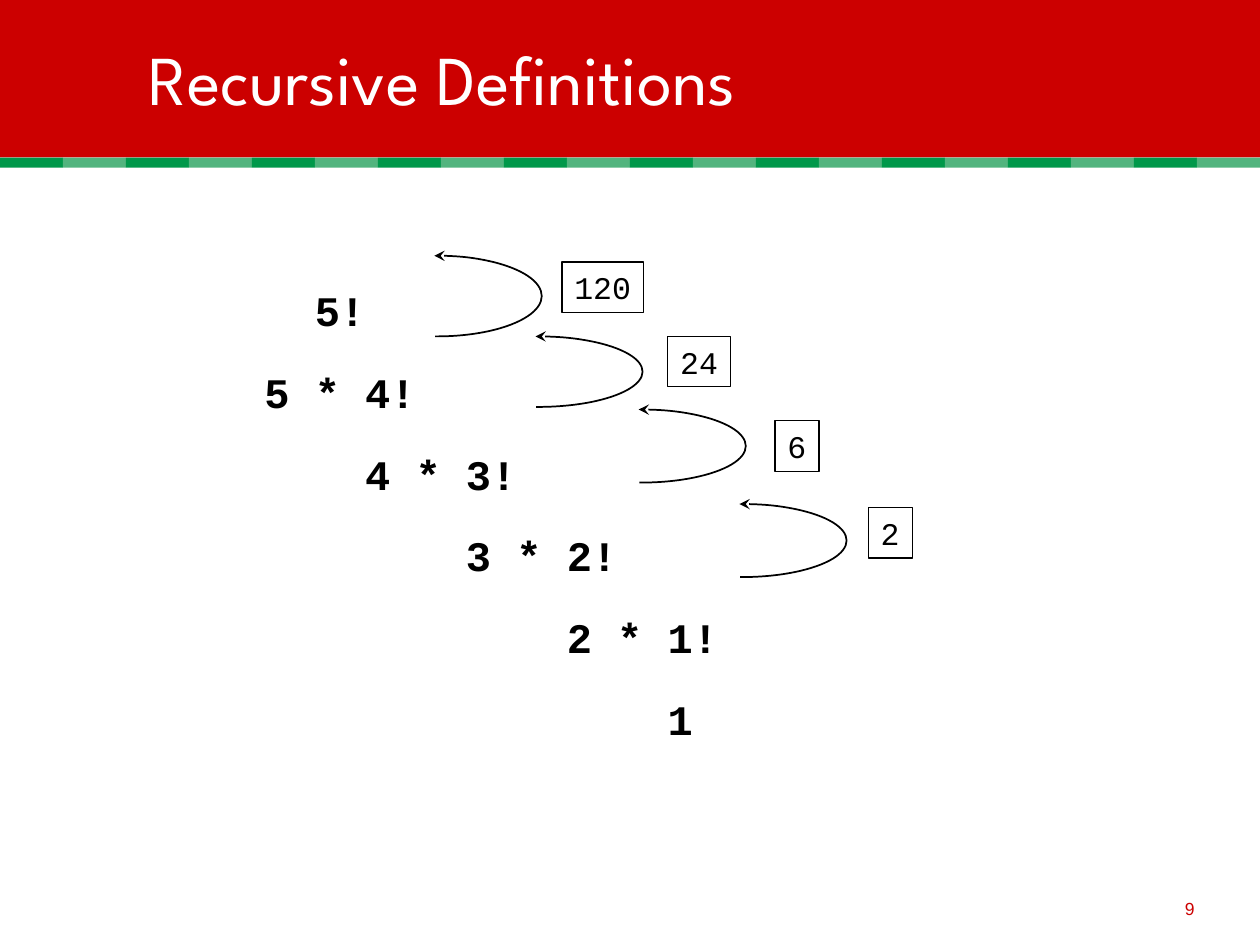
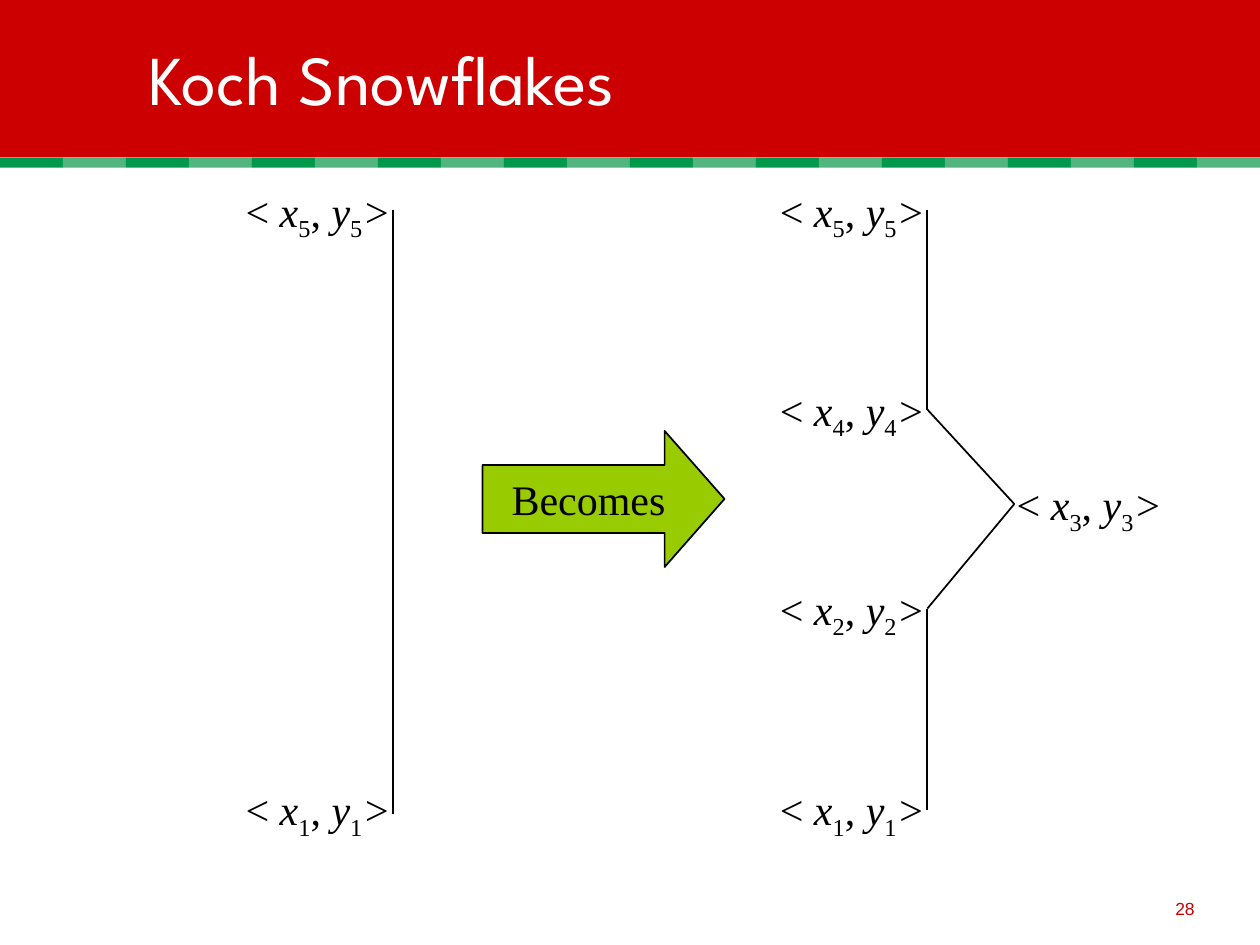
from dataclasses import dataclass

from lxml.etree import SubElement
from pptx import Presentation
from pptx.dml.color import RGBColor
from pptx.enum.shapes import MSO_CONNECTOR, MSO_SHAPE
from pptx.enum.text import MSO_ANCHOR, MSO_AUTO_SIZE, PP_ALIGN
from pptx.oxml.ns import qn
from pptx.util import Inches, Pt


@dataclass(frozen=True)
class Theme:
    """Colours, fonts and type sizes of the deck."""
    banner: str = "CC0000"
    stripes: tuple = ("00984A", "52B47E")
    arrow: str = "99CC00"
    ink: str = "000000"
    paper: str = "FFFFFF"
    title_font: str = "League Spartan"
    code_font: str = "Courier New"
    math_font: str = "Times New Roman"
    number_font: str = "Arial"
    title_size: int = 40
    body_size: int = 24
    value_size: int = 18
    number_size: int = 10


class Deck:
    """Holds the theme and the current slide and draws each kind of element."""

    def __init__(self, theme):
        self.theme = theme
        self.presentation = Presentation()
        self.presentation.slide_width = Inches(10)
        self.presentation.slide_height = Inches(7.5)
        self.slide = None

    def start_slide(self, heading, number):
        """Open a slide with its banner, title and page number."""
        theme = self.theme
        self.slide = self.presentation.slides.add_slide(self.presentation.slide_layouts[5])
        self.banner()
        title = self.slide.shapes.title
        self.slide.shapes._spTree.append(title._element)
        title.left, title.top, title.width, title.height = map(Inches, (1.08, 0.24, 8.67, 0.75))
        frame = self.frame(title, MSO_ANCHOR.MIDDLE, wrap=True)
        paragraph = self.paragraph(frame, PP_ALIGN.LEFT)
        self.run(paragraph, heading, theme.title_font, theme.title_size, theme.paper)
        page = self.slide.shapes.add_textbox(*map(Inches, (7.5, 6.92, 2.08, 0.42)))
        paragraph = self.paragraph(self.frame(page, MSO_ANCHOR.BOTTOM, wrap=True), PP_ALIGN.RIGHT)
        self.run(paragraph, str(number), theme.number_font, theme.number_size, theme.banner)

    def banner(self):
        """Draw the title band and the row of alternating stripes under it."""
        self.shape(MSO_SHAPE.RECTANGLE, (0, 0, 10, 1.25), fill=self.theme.banner)
        for column in range(20):
            stripe = self.theme.stripes[column % 2]
            self.shape(MSO_SHAPE.RECTANGLE, (column * 0.5, 1.25, 0.5, 0.08), fill=stripe)

    def shape(self, preset, box, fill=None, line_width=None):
        """Add a preset shape with an optional fill and outline."""
        shape = self.slide.shapes.add_shape(preset, *map(Inches, box))
        shape.shadow.inherit = False
        if fill:
            shape.fill.solid()
            shape.fill.fore_color.rgb = RGBColor.from_string(fill)
        else:
            shape.fill.background()
        if line_width:
            self.stroke(shape.line, line_width)
        else:
            shape.line.fill.background()
        return shape

    def stroke(self, line, width):
        """Colour a line with ink at a width in points."""
        line.color.rgb = RGBColor.from_string(self.theme.ink)
        line.width = Pt(width)

    def frame(self, shape, anchor=MSO_ANCHOR.TOP, wrap=False):
        """Prepare the text frame of a shape."""
        frame = shape.text_frame
        frame.auto_size = MSO_AUTO_SIZE.NONE
        frame.word_wrap = wrap
        frame.vertical_anchor = anchor
        return frame

    def paragraph(self, frame, alignment=PP_ALIGN.LEFT, first=True):
        """Return the first paragraph of a frame, or a new one."""
        paragraph = frame.paragraphs[0] if first else frame.add_paragraph()
        paragraph.alignment = alignment
        return paragraph

    def run(self, paragraph, text, font, size, color=None, bold=False, italic=False, subscript=False):
        """Append one formatted run."""
        run = paragraph.add_run()
        run.text = text
        run.font.name = font
        run.font.size = Pt(size)
        run.font.bold = bold
        run.font.italic = italic
        run.font.color.rgb = RGBColor.from_string(color or self.theme.ink)
        if subscript:
            run.font._element.set("baseline", "-25000")

    def expansion(self, steps):
        """Write the code lines, each indented by a number of characters."""
        theme = self.theme
        character = 0.2
        frame = self.frame(self.slide.shapes.add_textbox(*map(Inches, (1, 2.21, 8.67, 3.9))), wrap=True)
        for position, (indent, text) in enumerate(steps):
            paragraph = self.paragraph(frame, first=position == 0)
            paragraph.space_after = Pt(17.9)
            paragraph._p.get_or_add_pPr().set("marL", str(Inches(indent * character)))
            self.run(paragraph, text, theme.code_font, theme.body_size, bold=True)

    def return_arc(self, left, top, height):
        """Draw a half ellipse that points back to its upper end."""
        arc = self.shape(MSO_SHAPE.ARC, (left, top, 1.66, height), line_width=1)
        start_degrees, end_degrees = 266, 93
        arc.adjustments[0] = start_degrees * 0.6
        arc.adjustments[1] = end_degrees * 0.6
        SubElement(arc.line._get_or_add_ln(), qn("a:headEnd"), type="stealth")

    def returned_value(self, left, top, width, value):
        """Draw an outlined box with a returned value."""
        box = self.shape(MSO_SHAPE.RECTANGLE, (left, top, width, 0.4), line_width=0.75)
        paragraph = self.paragraph(self.frame(box))
        self.run(paragraph, value, self.theme.code_font, self.theme.value_size)

    def segment(self, start, end):
        """Draw a straight line between two points."""
        line = self.slide.shapes.add_connector(MSO_CONNECTOR.STRAIGHT, *map(Inches, start + end))
        self.stroke(line.line, 1)
        SubElement(line._element.spPr, qn("a:effectLst"))

    def point_label(self, left, top, index):
        """Write the coordinate pair of a numbered point."""
        label = self.slide.shapes.add_textbox(*map(Inches, (left, top, 1.35, 0.56)))
        paragraph = self.paragraph(self.frame(label), PP_ALIGN.CENTER)
        font, size = self.theme.math_font, self.theme.body_size
        for lead, letter in (("< ", "x"), (", ", "y")):
            self.run(paragraph, lead, font, size)
            self.run(paragraph, letter, font, size, italic=True)
            self.run(paragraph, index, font, size, subscript=True)
        self.run(paragraph, ">", font, size, italic=True)

    def block_arrow(self, box, text):
        """Draw a labelled arrow pointing right."""
        arrow = self.shape(MSO_SHAPE.RIGHT_ARROW, box, self.theme.arrow, line_width=1)
        arrow.adjustments[1] = 0.44
        paragraph = self.paragraph(self.frame(arrow, MSO_ANCHOR.MIDDLE), PP_ALIGN.CENTER)
        self.run(paragraph, text, self.theme.math_font, self.theme.body_size)


def recursive_definitions(deck):
    """Build the slide on the factorial."""
    deck.start_slide("Recursive Definitions", 9)
    deck.expansion([(7, "5!"), (5, "5 * 4!"), (9, "4 * 3!"),
                    (13, "3 * 2!"), (17, "2 * 1!"), (21, "1")])
    for arc in ((5.06, 4, 0.58), (4.26, 3.25, 0.58), (3.44, 2.67, 0.56), (2.64, 2.03, 0.64)):
        deck.return_arc(*arc)
    for returned in ((6.89, 4.03, 0.35, "2"), (6.15, 3.34, 0.35, "6"),
                     (5.3, 2.67, 0.5, "24"), (4.46, 2.08, 0.65, "120")):
        deck.returned_value(*returned)


def koch_snowflakes(deck):
    """Build the slide on the replacement of one segment by four."""
    deck.start_slide("Koch Snowflakes", 28)
    before, after, tip = 3.12, 7.36, 8.05
    label_offset = 1.27
    label_tops = {"5": 1.42, "1": 6.17, "4": 3, "2": 4.58}
    deck.segment((before, 1.67), (before, 6.46))
    for index in ("5", "1"):
        deck.point_label(before - label_offset, label_tops[index], index)
    deck.block_arrow((3.83, 3.42, 1.92, 1.08), "Becomes")
    corners = [(after, 1.67), (after, 3.25), (tip, 4), (after, 4.83), (after, 6.43)]
    for start, end in zip(corners, corners[1:]):
        deck.segment(start, end)
    for index, top in label_tops.items():
        deck.point_label(after - label_offset, top, index)
    deck.point_label(7.97, 3.75, "3")


def main():
    """Build both slides and save the deck."""
    deck = Deck(Theme())
    recursive_definitions(deck)
    koch_snowflakes(deck)
    deck.presentation.save("out.pptx")


if __name__ == "__main__":
    main()
